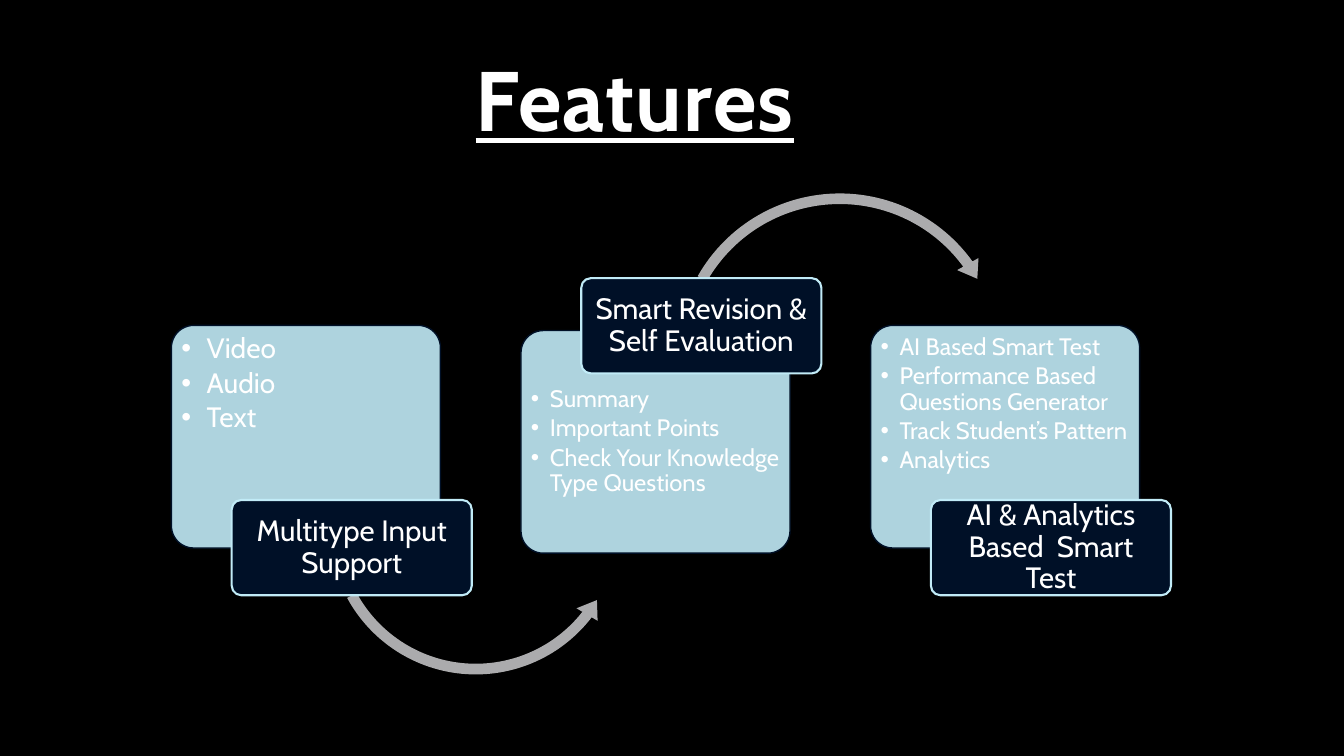
from pptx import Presentation
from pptx.dml.color import RGBColor
from pptx.enum import shapes, text
from pptx.oxml import ns
from pptx.util import Cm, Pt
from lxml import etree

COLORS = {
    "background": "000000",
    "text": "FFFFFF",
    "navy": "001027",
    "ice": "C1EBF7",
    "arrow": "ABABAD",
}
FONT = "Cabin"
PITCH = 8.81

FEATURES = [
    {
        "label": "Multitype Input Support",
        "items": ["Video", "Audio", "Text"],
        "size": 20, "indent": 0.64,
        "card_top": 8.2, "list_top": 8.33, "label_top": 12.6,
        "arrow": (shapes.MSO_SHAPE.LEFT_CIRCULAR_ARROW, 8.13, 9.45, 7.72,
                  (0.035, 4.277, 22.687, 90.9, 0.04)),
    },
    {
        "label": "Smart Revision & Self Evaluation",
        "items": ["Summary", "Important Points", "Check Your Knowledge Type Questions"],
        "size": 17, "indent": 0.48,
        "card_top": 8.33, "list_top": 9.65, "label_top": 7.01,
        "arrow": (shapes.MSO_SHAPE.CIRCULAR_ARROW, 16.87, 4.7, 8.59,
                  (0.031, 3.813, 194.431, 125.755, 0.036)),
    },
    {
        "label": "AI & Analytics Based  Smart Test",
        "items": ["AI Based Smart Test", "Performance Based Questions Generator",
                  "Track Student’s Pattern", "Analytics"],
        "size": 17, "indent": 0.48,
        "card_top": 8.2, "list_top": 8.33, "label_top": 12.6,
        "arrow": None,
    },
]


def add_filled(kind, left, top, width, height, fill, line=None, weight=1):
    shape = page.shapes.add_shape(kind, Cm(left), Cm(top), Cm(width), Cm(height))
    shape.shadow.inherit = False
    shape.fill.solid()
    shape.fill.fore_color.rgb = RGBColor.from_string(COLORS[fill])
    if line:
        shape.line.color.rgb = RGBColor.from_string(COLORS[line])
        shape.line.width = Pt(weight)
    else:
        shape.line.fill.background()
    return shape


def style_paragraph(para, size, align):
    para.alignment = align
    para.line_spacing = 0.9
    para.space_before = Pt(0)
    para.font.name = FONT
    para.font.size = Pt(size)
    para.font.bold = False
    para.font.color.rgb = RGBColor.from_string(COLORS["text"])


deck = Presentation()
deck.slide_width, deck.slide_height = Cm(33.87), Cm(19.05)
page = deck.slides.add_slide(deck.slide_layouts[4])
page.background.fill.solid()
page.background.fill.fore_color.rgb = RGBColor.from_string(COLORS["background"])

title = page.shapes.title
title.left, title.top, title.width, title.height = Cm(11.73), Cm(0.79), Cm(9.6), Cm(3.12)
title.text_frame.text = "Features"
title.text_frame.vertical_anchor = text.MSO_ANCHOR.BOTTOM
title.text_frame.auto_size = text.MSO_AUTO_SIZE.NONE
heading = title.text_frame.paragraphs[0]
style_paragraph(heading, 60.3, text.PP_ALIGN.LEFT)
heading.font.bold = True
heading.font.underline = True
heading.runs[0].font._element.set("spc", "100")

bodies = [box for box in page.placeholders if box.placeholder_format.idx > 0]
spare = bodies.pop()
spare._element.getparent().remove(spare._element)

for column, (feature, body) in enumerate(zip(FEATURES, bodies)):
    left = 4.32 + column * PITCH

    card = add_filled(shapes.MSO_SHAPE.ROUNDED_RECTANGLE, left, feature["card_top"],
                      6.78, 5.61, "ice", "navy")
    card.adjustments[0] = 0.1
    card_color = card.fill._xPr.find(ns.qn("a:solidFill"))[0]
    etree.SubElement(card_color, ns.qn("a:alpha")).set("val", "90000")

    page.shapes._spTree.append(body._element)
    body.left, body.top = Cm(left + 0.15), Cm(feature["list_top"])
    body.width, body.height = Cm(6.53), Cm(4.14)
    frame = body.text_frame
    frame.text = "\n".join(feature["items"])
    frame.word_wrap = True
    frame.auto_size = text.MSO_AUTO_SIZE.NONE
    frame.vertical_anchor = text.MSO_ANCHOR.TOP
    frame.margin_left = frame.margin_right = frame.margin_top = frame.margin_bottom = Cm(0.1)
    for para in frame.paragraphs:
        style_paragraph(para, feature["size"], text.PP_ALIGN.LEFT)
        para.space_after = Pt(feature["size"] * 0.15)
        props = para._p.get_or_add_pPr()
        props.set("marL", str(Cm(feature["indent"])))
        props.set("indent", str(-Cm(feature["indent"])))
        bullet = etree.Element(ns.qn("a:buChar"))
        bullet.set("char", "•")
        props.find(ns.qn("a:defRPr")).addprevious(bullet)

    if feature["arrow"]:
        kind, arrow_left, arrow_top, side, adjustments = feature["arrow"]
        arrow = add_filled(kind, arrow_left, arrow_top, side, side, "arrow")
        for index, value in enumerate(adjustments):
            arrow.adjustments[index] = value

    label = add_filled(shapes.MSO_SHAPE.ROUNDED_RECTANGLE, left + 1.52, feature["label_top"],
                       6.05, 2.4, "navy", "ice", 1.5)
    label.adjustments[0] = 0.1
    frame = label.text_frame
    frame.text = feature["label"]
    frame.word_wrap = True
    frame.vertical_anchor = text.MSO_ANCHOR.MIDDLE
    frame.margin_left = frame.margin_right = Cm(0.17)
    frame.margin_top = frame.margin_bottom = Cm(0.13)
    style_paragraph(frame.paragraphs[0], 21, text.PP_ALIGN.CENTER)

deck.save("out.pptx")
